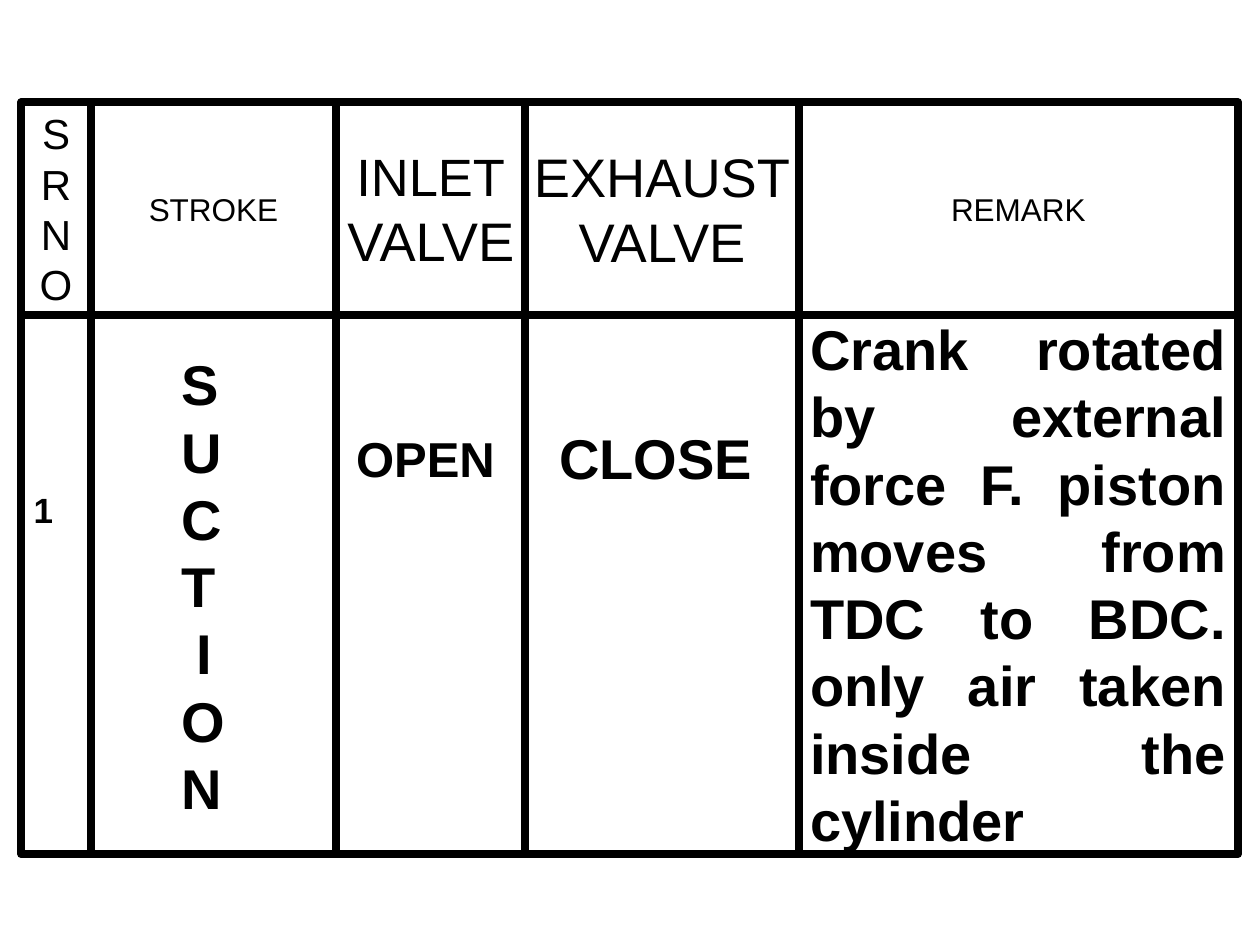
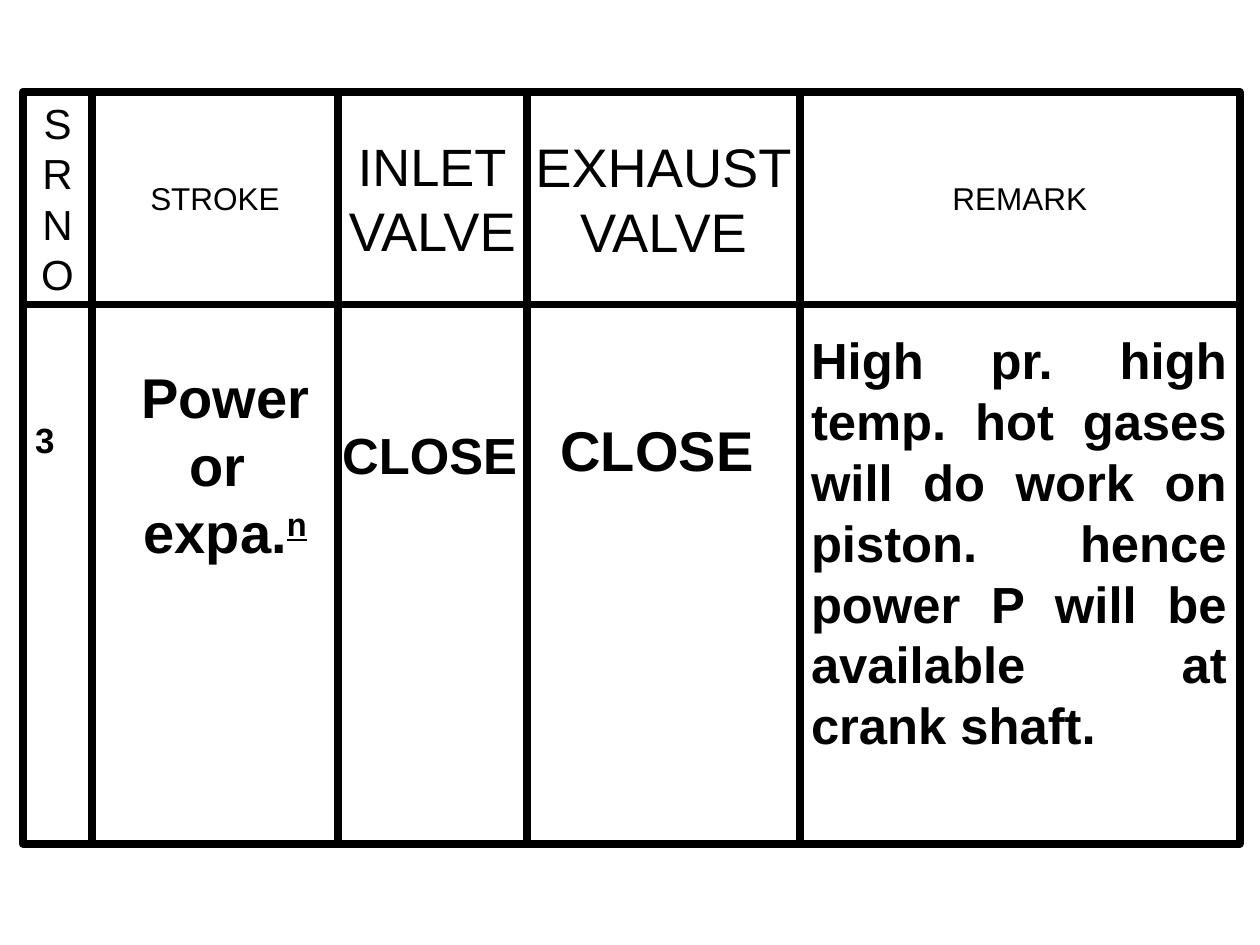
from dataclasses import dataclass
from itertools import accumulate

from pptx import Presentation
from pptx.dml.color import RGBColor
from pptx.enum.shapes import MSO_SHAPE
from pptx.enum.text import MSO_ANCHOR, MSO_AUTO_SIZE, PP_ALIGN
from pptx.util import Cm, Pt

RECTANGLE = MSO_SHAPE.RECTANGLE
MIDDLE, TOP = MSO_ANCHOR.MIDDLE, MSO_ANCHOR.TOP
GROW, FIXED = MSO_AUTO_SIZE.SHAPE_TO_FIT_TEXT, MSO_AUTO_SIZE.NONE
LEFT, CENTER, JUSTIFY = PP_ALIGN.LEFT, PP_ALIGN.CENTER, PP_ALIGN.JUSTIFY


@dataclass(frozen=True)
class Theme:
    ink: RGBColor = RGBColor(0, 0, 0)
    font: str = "Arial"
    border: float = 4.5
    label: int = 18
    number: int = 20
    serial: int = 24
    answer: int = 28
    remark: int = 29
    inlet: int = 30
    valve: int = 31
    large: int = 32


theme = Theme()

# Table grid, in centimetres
COLUMN_WIDTHS = [1.4, 4.95, 3.81, 5.51, 8.86]
COLUMN_OFFSETS = list(accumulate(COLUMN_WIDTHS, initial=0))[:-1]
HEADER_HEIGHT, BODY_HEIGHT = 4.29, 10.87

# Each heading: its lines and the size of each line
HEADINGS = [
    (list("SRNO"), [theme.serial] * 4),
    (["STROKE"], [theme.label]),
    (["INLET", "VALVE"], [theme.inlet, theme.valve]),
    (["EXHAUST", "VALVE"], [theme.valve] * 2),
    (["REMARK"], [theme.label]),
]

# Each entry: left, top, width, height in centimetres, lines, format
STROKES = [
    {
        "origin": (0.43, 2.06),
        "entries": [
            (0.43, 9.73, 0.91, 1.12, ["1"], {"size": theme.number}),
            (3.4, 6.93, 1.4, 9.83, ["S", "U", "C", "T", " I", "O", "N"], {}),
            (6.93, 8.51, 3.33, 1.45, ["OPEN"], {"size": theme.answer}),
            (11.02, 8.41, 4.45, 1.63, ["CLOSE"], {}),
            (16.08, 6.22, 8.89, 11.2,
             ["Crank rotated by external force F. piston moves from TDC to "
              "BDC. only air taken inside the cylinder"],
             {"align": JUSTIFY, "wrap": True}),
        ],
    },
    {
        "origin": (0.46, 1.85),
        "entries": [
            (0.46, 8.31, 0.91, 1.12, ["3"], {"size": theme.number}),
            (2.57, 7.19, 3.94, 4.37, ["Power", "or ", "expa."],
             {"align": CENTER, "superscript": "n"}),
            (6.65, 8.41, 4.04, 1.47, ["CLOSE"], {"size": theme.remark}),
            (11.05, 8.26, 4.45, 1.63, ["CLOSE"], {}),
            (16.1, 6.5, 8.89, 8.94,
             ["High pr. high temp. hot gases will do work on piston. hence "
              "power P will be available at crank shaft."],
             {"size": theme.remark, "align": JUSTIFY, "wrap": True}),
        ],
    },
]


def write_text(shape, lines, *, size=theme.large, sizes=None, bold=True,
               align=LEFT, anchor=TOP, wrap=False, fit=GROW, superscript=""):
    frame = shape.text_frame
    frame.word_wrap = wrap
    frame.auto_size = fit
    frame.vertical_anchor = anchor
    for index, line in enumerate(lines):
        paragraph = frame.add_paragraph() if index else frame.paragraphs[0]
        paragraph.alignment = align
        pieces = [line]
        if superscript and index == len(lines) - 1:
            pieces.append(superscript)
        for position, piece in enumerate(pieces):
            run = paragraph.add_run()
            run.text = piece
            run.font.name = theme.font
            run.font.size = Pt(sizes[index] if sizes else size)
            run.font.bold = bold
            run.font.color.rgb = theme.ink
            if position:
                run.font.underline = True
                run._r.get_or_add_rPr().set("baseline", "30000")


def add_cell(slide, left, top, width, height):
    shape = slide.shapes.add_shape(RECTANGLE, Cm(left), Cm(top), Cm(width), Cm(height))
    shape.shadow.inherit = False
    shape.fill.background()
    shape.line.color.rgb = theme.ink
    shape.line.width = Pt(theme.border)
    return shape


presentation = Presentation()
presentation.slide_width, presentation.slide_height = Cm(25.4), Cm(19.05)

for stroke in STROKES:
    slide = presentation.slides.add_slide(presentation.slide_layouts[6])
    table_left, table_top = stroke["origin"]

    # Bordered grid with its headings
    for offset, width, (lines, sizes) in zip(COLUMN_OFFSETS, COLUMN_WIDTHS, HEADINGS):
        left = table_left + offset
        heading = add_cell(slide, left, table_top, width, HEADER_HEIGHT)
        write_text(heading, lines, sizes=sizes, bold=False, align=CENTER,
                   anchor=MIDDLE, fit=FIXED)
        add_cell(slide, left, table_top + HEADER_HEIGHT, width, BODY_HEIGHT)

    # Entries of the stroke
    for left, top, width, height, lines, text_format in stroke["entries"]:
        entry = slide.shapes.add_textbox(Cm(left), Cm(top), Cm(width), Cm(height))
        write_text(entry, lines, **text_format)

presentation.save("out.pptx")
